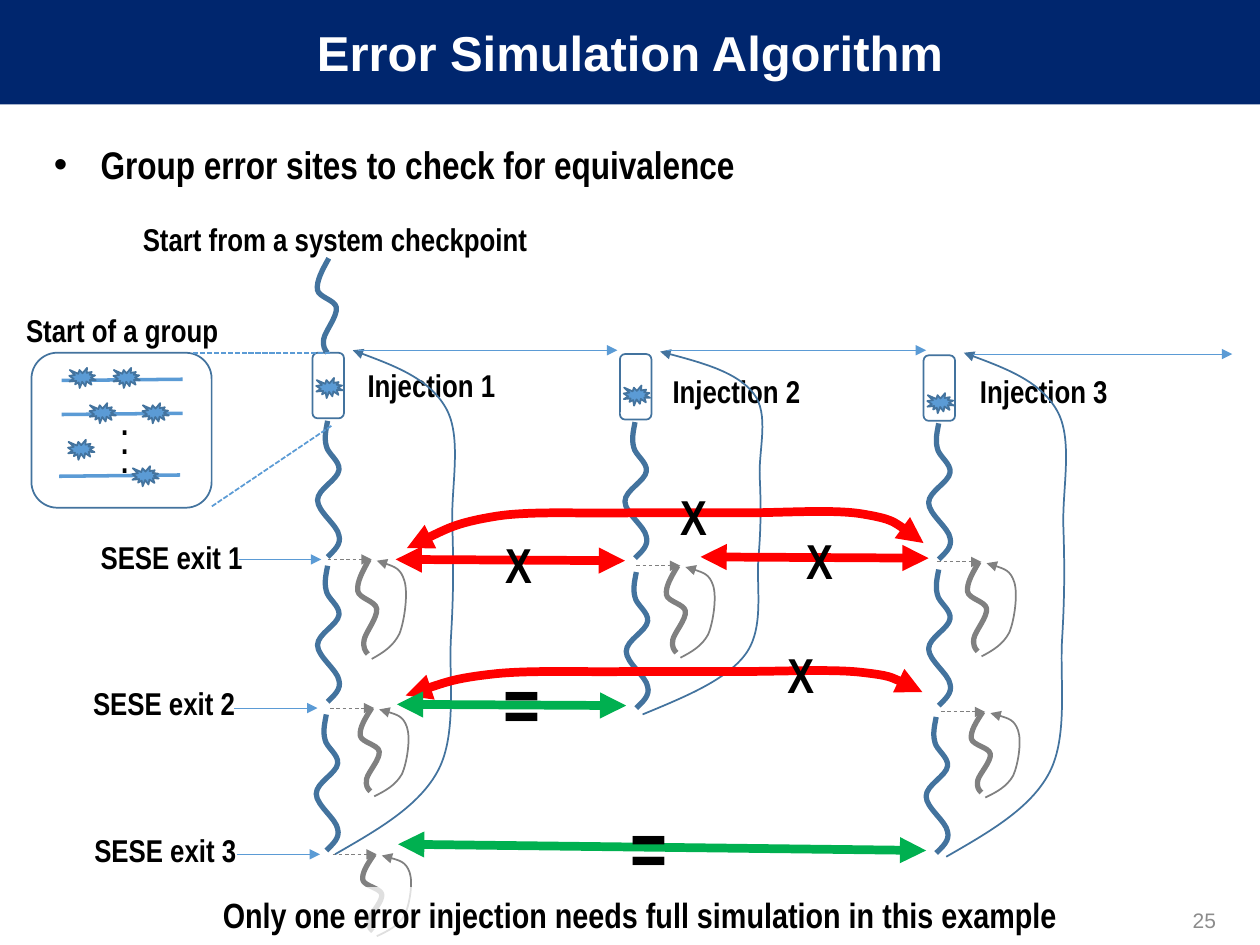
from lxml import etree
from pptx import Presentation
from pptx.dml.color import RGBColor
from pptx.enum import dml, shapes, text
from pptx.oxml.ns import qn
from pptx.util import Inches, Pt

COLORS = {"navy": "00266E", "white": "FFFFFF", "black": "000000", "blue": "5B9BD5",
          "steel": "43739E", "gray": "808080", "number": "8C8C8C",
          "red": "FF0000", "green": "00B050"}

# Curves: cubic control points relative to the start
TRACE = [(-.01, .06), (-.03, .13), (-.01, .2), (0, .26), (.1, .32), (.09, .39),
         (.08, .47), (-.08, .54), (-.08, .63), (-.08, .72), (.08, .83), (.09, .91),
         (.11, .98), (.05, 1.03), (0, 1.08)]
SHORT_TRACE = [(-.05, .09), (-.1, .18), (-.09, .25), (-.08, .31), (.05, .33), (.06, .39),
               (.07, .46), (-.03, .58), (-.04, .64), (-.05, .7), (-.03, .73), (-.01, .75)]
SHORT_RETURN = [(.09, -.05), (.17, -.1), (.22, -.2), (.26, -.3), (.29, -.52), (.26, -.62),
                (.23, -.72), (.14, -.75), (.04, -.78)]
LONG_RETURN = [(.33, -.19), (.67, -.38), (.82, -.67), (.97, -.96), (.9, -1.41), (.92, -1.73),
               (.94, -2.06), (.94, -2.32), (.93, -2.62), (.92, -2.92), (1.01, -3.31),
               (.88, -3.54), (.75, -3.77), (.44, -3.89), (.14, -4)]
ARC = [(.2, -.1), (.39, -.2), (.69, -.25), (.98, -.3), (1.44, -.27), (1.77, -.28),
       (2.11, -.28), (2.37, -.28), (2.68, -.28), (2.99, -.28), (3.39, -.31),
       (3.62, -.27), (3.86, -.23), (3.98, -.14), (4.1, -.04)]

# Content
EXITS = [  # label, label left, label top, arrow start, arrow end, arrow y
    ("SESE exit 1", .7, 4.22, 1.9, 2.55, 4.44),
    ("SESE exit 2", .64, 5.38, 1.86, 2.52, 5.62),
    ("SESE exit 3", .65, 6.55, 1.88, 2.54, 6.78)]
INJECTIONS = [  # label, label at, box at, burst at, next arrow at, loop start, loop height
    ("Injection 1", (2.81, 2.86), (2.48, 2.8), (2.51, 3), (2.84, 2.78), (2.66, 6.78), 4),
    ("Injection 2", (5.23, 2.9), (4.92, 2.81), (4.95, 3.06), (5.29, 2.78), (5.1, 5.67), 2.88),
    ("Injection 3", (7.67, 2.9), (7.33, 2.82), (7.36, 3.12), (7.72, 2.81), (7.51, 6.8), 4)]
TRACES = [(2.6, 3.34), (2.6, 4.49), (2.59, 5.67), (5.04, 3.35), (5.05, 4.54),
          (7.45, 3.36), (7.45, 4.52), (7.43, 5.69)]
BRANCHES = [(2.93, 4.44, .75), (2.95, 5.62, .66), (2.97, 6.78, .61),  # x, y, height
            (5.38, 4.49, .69), (7.77, 4.46, .71), (7.8, 5.65, .64)]
ARCS = [(3.23, 4.35, 1), (3.22, 5.52, .68)]  # x, y, vertical scale
COMPARISONS = [(3.14, 4.44, 4.96, 4.45, "red"), (5.56, 4.42, 7.37, 4.43, "red"),
               (3.15, 5.59, 4.97, 5.6, "green"), (3.16, 6.7, 7.35, 6.75, "green")]
VERDICTS = [("X", 3.91, 4.19), ("X", 5.3, 3.81), ("X", 6.3, 4.16), ("X", 6.15, 5.07),
            ("=", 3.9, 5.15), ("=", 4.91, 6.3)]
SITE_LINES = [(1.45, 3.01), (1.45, 3.28), (1.43, 3.77)]
SITE_BURSTS = [(.55, 2.92), (.9, 2.92), (.71, 3.2), (1.13, 3.2), (.54, 3.49), (1.05, 3.7)]
ZOOM_LINES = [(2.62, 2.8, 1.53, 2.8), (2.63, 3.38, 1.68, 4.02)]

prs = Presentation()
prs.slide_width, prs.slide_height = Inches(10), Inches(7.5)
s = prs.slides.add_slide(prs.slide_layouts[5])


def rgb(name):
    return RGBColor.from_string(COLORS[name])


def style_line(sp, color, width, dash=None, head=False, tail=False):
    sp.line.color.rgb = rgb(color)
    sp.line.width = Pt(width)
    if dash:
        sp.line.dash_style = dash
    ln = sp.line._get_or_add_ln()
    for tag, wanted in (("a:headEnd", head), ("a:tailEnd", tail)):
        if wanted:
            etree.SubElement(ln, qn(tag)).set("type", "triangle")


def line(x1, y1, x2, y2, color, width, **ends):
    cx = s.shapes.add_connector(shapes.MSO_CONNECTOR.STRAIGHT,
                                Inches(x1), Inches(y1), Inches(x2), Inches(y2))
    etree.SubElement(cx.element.spPr, qn("a:effectLst"))
    effects = cx.element.spPr[-1]
    style_line(cx, color, width, **ends)
    cx.element.spPr.append(effects)


def curve(x, y, controls, color, width, scale=1, **ends):
    points = [(Inches(x + dx), Inches(y + dy * scale)) for dx, dy in controls]
    builder = s.shapes.build_freeform(Inches(x), Inches(y))
    builder.add_line_segments(points, close=False)
    sp = builder.convert_to_shape()
    # Merge each three straight segments into one cubic curve
    segments = list(sp.element.iter(qn("a:lnTo")))
    for first, second, third in zip(*[iter(segments)] * 3):
        cubic = etree.Element(qn("a:cubicBezTo"))
        first.addprevious(cubic)
        for seg in (first, second, third):
            cubic.append(seg[0])
            seg.getparent().remove(seg)
    sp.shadow.inherit = False
    sp.fill.background()
    style_line(sp, color, width, **ends)


def shape(kind, x, y, w, h, fill=None, outline=None):
    sp = s.shapes.add_shape(kind, Inches(x), Inches(y), Inches(w), Inches(h))
    sp.shadow.inherit = False
    if fill:
        sp.fill.solid()
        sp.fill.fore_color.rgb = rgb(fill)
    else:
        sp.fill.background()
    if outline:
        style_line(sp, outline, 1)
    else:
        sp.line.fill.background()
    return sp


def burst(x, y):
    shape(shapes.MSO_SHAPE.EXPLOSION1, x, y, .21, .16, "blue", "steel")


def format_text(tf, size, color="black", bold=True, font="Arial Narrow", align="LEFT"):
    for p in tf.paragraphs:
        p.alignment = getattr(text.PP_ALIGN, align)
        for r in p.runs:
            r.font.size, r.font.bold, r.font.name = Pt(size), bold, font
            r.font.color.rgb = rgb(color)


def label(words, x, y, w, h, size=18, wrap=False, **style):
    tb = s.shapes.add_textbox(Inches(x), Inches(y), Inches(w), Inches(h))
    tb.text_frame.text = words
    tb.text_frame.word_wrap = wrap
    format_text(tb.text_frame, size, **style)
    return tb


def fill_white(sp):
    sp.fill.solid()
    sp.fill.fore_color.rgb = rgb("white")


# Title bar and title
title = s.shapes.title
title.left, title.top, title.width, title.height = 0, 0, Inches(10), Inches(.83)
title.text_frame.text = "Error Simulation Algorithm"
title.text_frame.vertical_anchor = text.MSO_ANCHOR.MIDDLE
format_text(title.text_frame, 28, "white", font="Arial", align="CENTER")
bar = shape(shapes.MSO_SHAPE.RECTANGLE, 0, 0, 10, .83, "navy")
title.element.addprevious(bar.element)

# Slide number
number = label("25", 7.42, 7.1, 2.33, .4, 12, color="number", bold=False,
               font="Arial", align="RIGHT", wrap=True)
number.text_frame.vertical_anchor = text.MSO_ANCHOR.MIDDLE

# Bullet
body = label("Group error sites to check for equivalence", .33, 1, 9.42, .65, 22, wrap=True)
p = body.text_frame.paragraphs[0]
p.line_spacing, p.space_before = 1.2, Pt(12.2)
pPr = p._p.get_or_add_pPr()
pPr.set("marL", str(Inches(.37)))
pPr.set("indent", str(-Inches(.37)))
etree.SubElement(pPr, qn("a:buFont")).set("typeface", "Arial")
etree.SubElement(pPr, qn("a:buChar")).set("char", "•")

# Execution from the checkpoint, and the traces between exits
label("Start from a system checkpoint", .41, 1.7, 4.5, .4, align="CENTER", wrap=True)
curve(2.61, 2.05, SHORT_TRACE, "steel", 3)
for x, y in TRACES:
    curve(x, y, TRACE, "steel", 3)
for words, x, top, x1, x2, y in EXITS:
    line(x1, y, x2, y, "blue", .5, tail=True)
    label(words, x, top, 1.34, .4)

# Fault-free branches at each exit
for x, y, h in BRANCHES:
    line(x - .33, y, x + .02, y, "gray", .5, dash=dml.MSO_LINE.DASH, tail=True)
    curve(x, y, SHORT_TRACE, "gray", 3, scale=h / .75)
    curve(x + .02, y + h + .04, SHORT_RETURN, "gray", 1, scale=(h + .03) / .78, tail=True)

# Injections with their return loops
for words, at, box, site, arrow, loop, h in INJECTIONS:
    fill_white(label(words, *at, 1.23, .4, align="CENTER"))
    shape(shapes.MSO_SHAPE.ROUNDED_RECTANGLE, *box, .25, .52, outline="steel")
    burst(*site)
    curve(*loop, LONG_RETURN, "steel", 1, scale=h / 4, tail=True)
    line(*arrow, arrow[0] + 2.06, arrow[1], "blue", .5, tail=True)

# State comparisons
for x, y, scale in ARCS:
    curve(x, y, ARC, "red", 5, scale=scale, head=True, tail=True)
for *ends, color in COMPARISONS:
    line(*ends, color, 5, head=True, tail=True)
for sign, x, y in VERDICTS:
    w, h, size = (.42, .57, 28) if sign == "X" else (.5, .84, 44)
    label(sign, x, y, w, h, size)

# Conclusion on a translucent panel
conclusion = label("Only one error injection needs full simulation in this example",
                   1.67, 7.04, 6.86, .44, 20)
fill_white(conclusion)
white = conclusion.element.spPr.find(qn("a:solidFill"))[0]
etree.SubElement(white, qn("a:alpha")).set("val", "75000")

# Close-up of the group of error sites
shape(shapes.MSO_SHAPE.ROUNDED_RECTANGLE, .25, 2.8, 1.43, 1.23, outline="steel")
label("Start of a group", .1, 2.42, 1.74, .4, align="CENTER")
for ends in ZOOM_LINES:
    line(*ends, "blue", 1, dash=dml.MSO_LINE.SQUARE_DOT)
for x, y in SITE_LINES:
    line(x, y, x - .96, y + .01, "blue", 2)
dots = label(".\n.\n.", .88, 3.29, .18, .56, wrap=True)
for p in dots.text_frame.paragraphs:
    p.line_spacing = .5
for x, y in SITE_BURSTS:
    burst(x, y)

prs.save("out.pptx")
